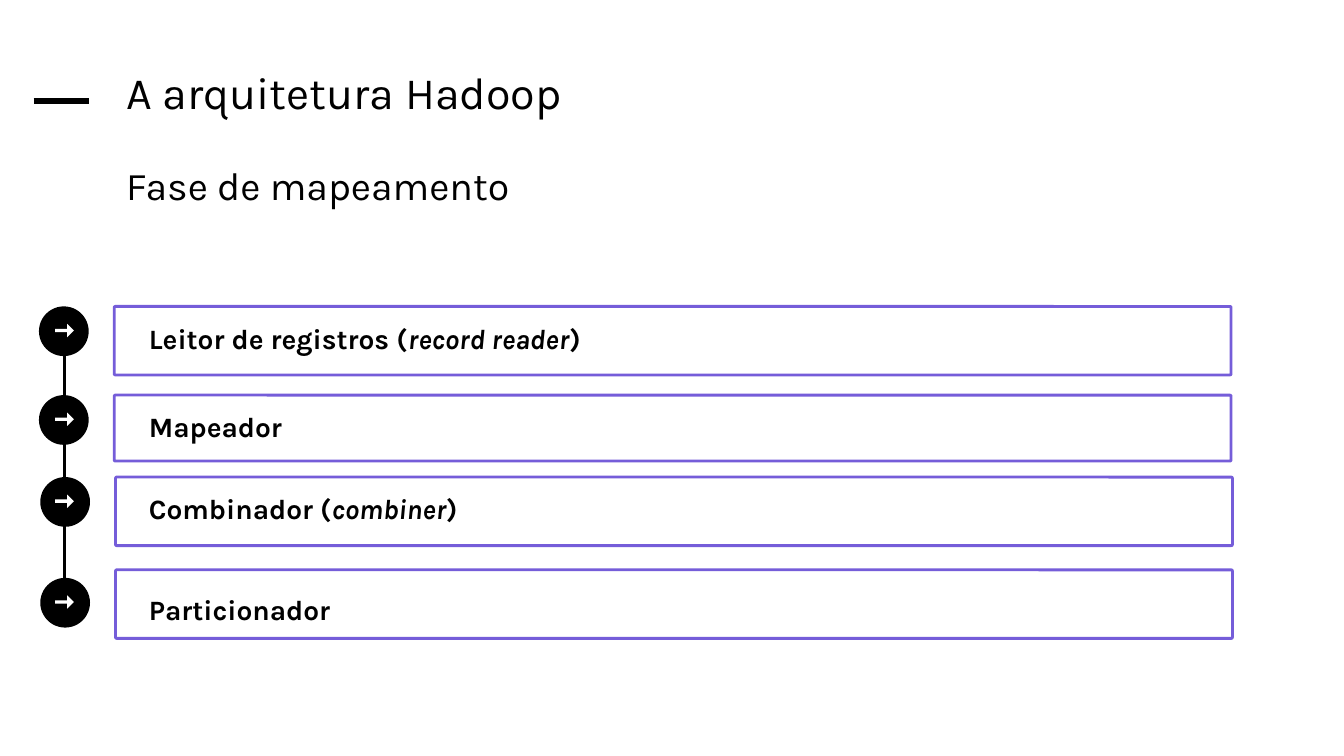
from pptx import Presentation
from pptx.dml.color import RGBColor
from pptx.enum.shapes import MSO_CONNECTOR as Connector, MSO_SHAPE as Shape
from pptx.enum.text import MSO_AUTO_SIZE as AutoSize
from pptx.oxml import parse_xml
from pptx.oxml.ns import nsdecls
from pptx.util import Inches, Pt

BLACK = RGBColor(0x00, 0x00, 0x00)
WHITE = RGBColor(0xFF, 0xFF, 0xFF)
PURPLE = RGBColor(0x75, 0x5D, 0xD9)

HEADINGS = [("A arquitetura Hadoop", 0.48, 24), ("Fase de mapeamento", 1.19, 21)]
STEPS = [
    {"text": [("Leitor de registros (", False), ("record reader", True), (")", False)],
     "top": 2.28, "circle_left": 0.29, "box": (0.85, 2.28, 8.31, 0.51), "line": (2.41, 3.55)},
    {"text": [("Mapeador", False)],
     "top": 2.94, "circle_left": 0.29, "box": (0.85, 2.94, 8.31, 0.49), "line": (3.55, 4.3)},
    {"text": [("Combinador (", False), ("combiner", True), (")", False)],
     "top": 3.55, "circle_left": 0.3, "box": (0.86, 3.55, 8.31, 0.51), "line": None},
    {"text": [("Particionador", False)],
     "top": 4.3, "circle_left": 0.3, "box": (0.86, 4.24, 8.31, 0.51), "line": None},
]
CIRCLE = 0.37
LINE_X = 0.48


def add_shape(shapes, kind, box, fill=None, outline=None, adjustments=()):
    shape = shapes.add_shape(kind, *map(Inches, box))
    shape.shadow.inherit = False
    for index, value in enumerate(adjustments):
        shape.adjustments[index] = value
    if fill is None:
        shape.fill.background()
    else:
        shape.fill.solid()
        shape.fill.fore_color.rgb = fill
    if outline is None:
        shape.line.fill.background()
    else:
        shape.line.color.rgb = outline
        shape.line.width = Pt(1.5)


def add_line(shapes, ends, width):
    line = shapes.add_connector(Connector.STRAIGHT, *map(Inches, ends))
    line.line.color.rgb = BLACK
    line.line.width = Pt(width)
    line._element.spPr.append(parse_xml(f"<a:effectLst {nsdecls('a')}/>"))


def add_text(shapes, box, runs, size, bold=False, auto_size=AutoSize.NONE, spacing=None):
    frame = shapes.add_textbox(*map(Inches, box)).text_frame
    frame.word_wrap = True
    frame.auto_size = auto_size
    paragraph = frame.paragraphs[0]
    paragraph.line_spacing = spacing
    for text, italic in runs:
        run = paragraph.add_run()
        run.text = text
        run.font.color.rgb = BLACK
        formats = {"name": "Karla", "size": Pt(size), "bold": bold, "italic": italic}
        for name, value in formats.items():
            setattr(run.font, name, value)


def add_step(slide, step):
    shapes = slide.shapes.add_group_shape().shapes
    top = step["top"]
    add_shape(shapes, Shape.OVAL, (step["circle_left"], top, CIRCLE, CIRCLE), fill=BLACK)
    if step["line"]:
        start, end = step["line"]
        add_line(shapes, (LINE_X, start, LINE_X, end), 1.5)
    add_shape(shapes, Shape.RIGHT_ARROW, (0.41, top + 0.13, 0.14, 0.1),
              fill=WHITE, adjustments=(0.255, 0.5))
    add_shape(shapes, Shape.ROUNDED_RECTANGLE, step["box"],
              outline=PURPLE, adjustments=(0.016,))
    add_text(shapes, (1.01, top + 0.06, 5.67, 0.35), step["text"], 15,
             bold=True, auto_size=AutoSize.SHAPE_TO_FIT_TEXT)


def main():
    presentation = Presentation()
    presentation.slide_width = Inches(10)
    presentation.slide_height = Inches(10) * 9 // 16
    slide = presentation.slides.add_slide(presentation.slide_layouts[6])
    add_line(slide.shapes, (0.25, 0.75, 0.66, 0.75), 3)
    for text, top, size in HEADINGS:
        add_text(slide.shapes, (0.84, top, 8.33, 0.7), [(text, False)], size, spacing=0.9)
    for step in STEPS:
        add_step(slide, step)
    presentation.save("out.pptx")


if __name__ == "__main__":
    main()
